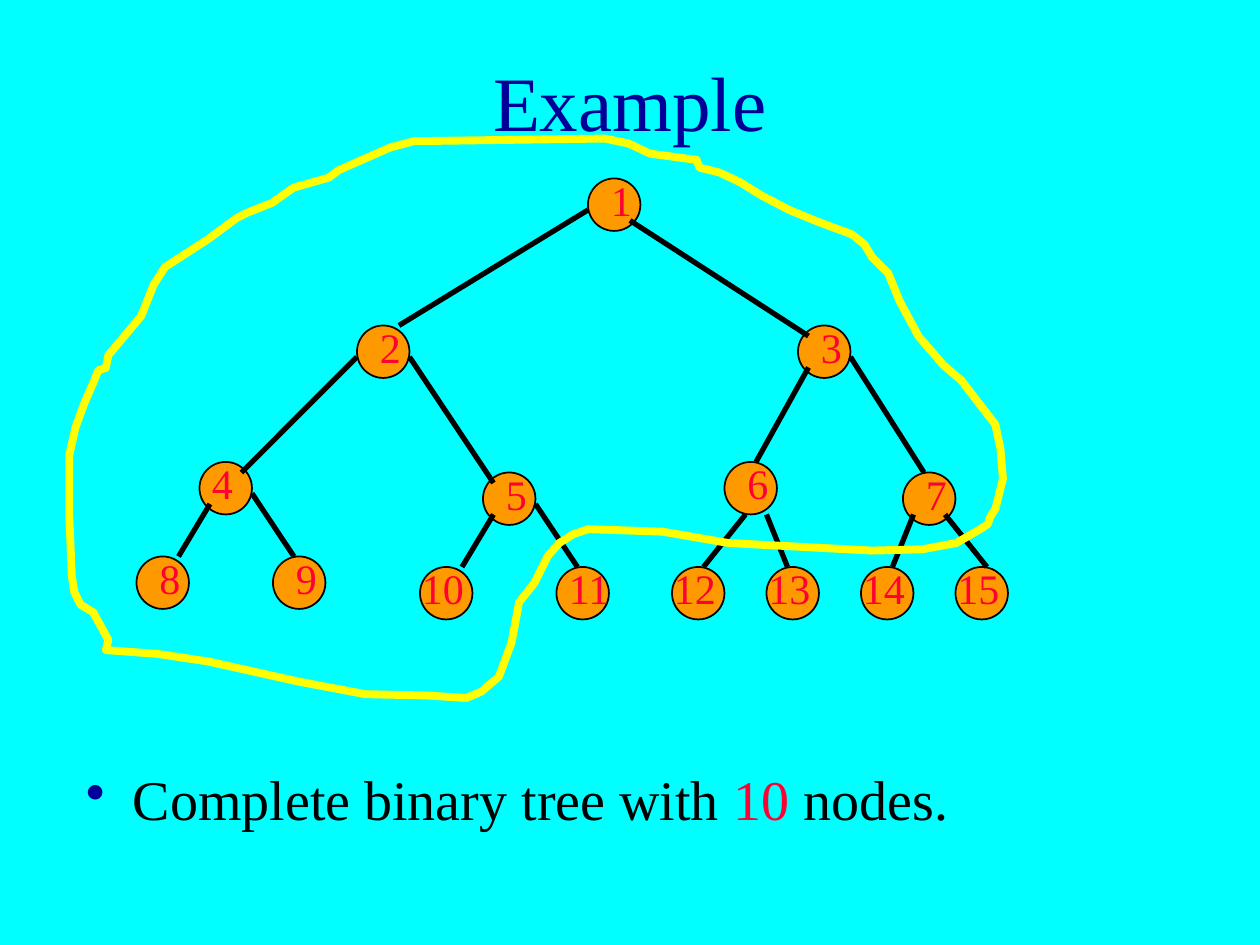
from dataclasses import dataclass

from lxml.etree import SubElement
from pptx import Presentation
from pptx.dml.color import RGBColor as Rgb
from pptx.enum.shapes import MSO_CONNECTOR as Connector, MSO_SHAPE as Shape
from pptx.enum.text import MSO_ANCHOR as Anchor, MSO_AUTO_SIZE as AutoSize, PP_ALIGN as Align
from pptx.oxml.ns import qn
from pptx.util import Cm, Pt


@dataclass(frozen=True)
class Theme:
    font: str = "Times New Roman"
    background: str = "00FFFF"
    title: str = "000099"
    ink: str = "000000"
    accent: str = "FF0033"
    node: str = "FF9900"
    outline: str = "FFFF00"
    title_size: int = 44
    body_size: int = 32
    label_size: int = 24


THEME = Theme()
NODE_SIZE = 5

# Node number: left and top, in twelfths of an inch
NODES = {
    1: (56, 17), 2: (34, 31), 3: (76, 31),
    4: (19, 44), 5: (46, 45), 6: (69, 44), 7: (86, 45),
    8: (13, 53), 9: (26, 53), 10: (40, 54), 11: (53, 54),
    12: (64, 54), 13: (73, 54), 14: (82, 54), 15: (91, 54),
}

# Start and end of each branch, on the same grid
BRANCHES = [
    (56, 20, 38, 31), (60, 21, 77, 32),
    (34, 34, 23, 45), (39, 34, 47, 46), (77, 35, 72, 44), (81, 34, 88, 45),
    (20, 48, 17, 53), (24, 47, 28, 53), (47, 49, 44, 54), (51, 48, 55, 54),
    (71, 49, 67, 54), (73, 49, 75, 54), (87, 49, 85, 54), (90, 49, 94, 54),
]

# Hand-drawn loop around the first ten nodes, in hundredths of an inch
LOOP = [
    (84, 516), (125, 519), (165, 525), (237, 541), (290, 551), (339, 552),
    (370, 554), (382, 549), (396, 537), (406, 510), (412, 478), (424, 463),
    (435, 441), (444, 431), (455, 424), (467, 420), (526, 422), (578, 431),
    (692, 437), (732, 436), (759, 431), (778, 420), (784, 416), (786, 410),
    (790, 404), (794, 388), (796, 380), (794, 356), (790, 337), (763, 302),
    (749, 290), (729, 267), (714, 239), (705, 217), (692, 204), (686, 194),
    (676, 186), (649, 176), (627, 167), (604, 155), (588, 145), (571, 137),
    (555, 133), (553, 127), (516, 122), (499, 114), (480, 110), (337, 112),
    (329, 112), (310, 117), (269, 135), (261, 141), (233, 149), (216, 161),
    (196, 169), (188, 173), (165, 190), (131, 212), (122, 226), (112, 251),
    (86, 282), (84, 292), (78, 294), (74, 304), (67, 320), (60, 339),
    (55, 361), (55, 410), (57, 457), (59, 470), (64, 480), (74, 486),
    (86, 508),
]


def grid(units):
    return Cm(2.54 * units / 12)


def style(run, size, color):
    run.font.name = THEME.font
    run.font.size = Pt(size)
    run.font.color.rgb = Rgb.from_string(color)


def add_title(slide, wording):
    title = slide.shapes.title
    title.left, title.top, title.width, title.height = Cm(1.9), Cm(0.43), Cm(21.6), Cm(3.18)
    frame = title.text_frame
    frame.text = wording
    frame.vertical_anchor = Anchor.MIDDLE
    frame.paragraphs[0].alignment = Align.CENTER
    style(frame.paragraphs[0].runs[0], THEME.title_size, THEME.title)


def add_branch(tree, x1, y1, x2, y2):
    branch = tree.shapes.add_connector(
        Connector.STRAIGHT, grid(x1), grid(y1), grid(x2), grid(y2))
    branch.line.color.rgb = Rgb.from_string(THEME.ink)
    branch.line.width = Pt(3)
    SubElement(branch.element.spPr, qn("a:effectLst"))


def add_node(tree, x, y):
    node = tree.shapes.add_shape(
        Shape.OVAL, grid(x), grid(y), grid(NODE_SIZE), grid(NODE_SIZE))
    node.shadow.inherit = False
    node.fill.solid()
    node.fill.fore_color.rgb = Rgb.from_string(THEME.node)
    node.line.color.rgb = Rgb.from_string(THEME.ink)
    node.line.width = Pt(1)


def add_label(tree, number, x, y):
    # Labels 4 and 11 start level with their nodes
    shift, width = (1, 4) if number < 10 else (-1, 8)
    if number in (4, 11):
        shift = 0
    label = tree.shapes.add_textbox(grid(x + shift), grid(y - 1), grid(width), grid(6))
    frame = label.text_frame
    frame.word_wrap = True
    frame.auto_size = AutoSize.SHAPE_TO_FIT_TEXT
    frame.text = str(number)
    style(frame.paragraphs[0].runs[0], THEME.label_size, THEME.accent)


def add_tree(slide):
    tree = slide.shapes.add_group_shape()
    for x, y in NODES.values():
        add_node(tree, x, y)
    for ends in BRANCHES:
        add_branch(tree, *ends)
    for number, (x, y) in NODES.items():
        add_label(tree, number, x, y)


def add_loop(slide):
    builder = slide.shapes.build_freeform(*LOOP[0], scale=Cm(2.54) / 100)
    builder.add_line_segments(LOOP[1:], close=True)
    loop = builder.convert_to_shape()
    loop.shadow.inherit = False
    loop.fill.background()
    loop.line.color.rgb = Rgb.from_string(THEME.outline)
    loop.line.width = Pt(4.5)


def add_bullet(slide, parts):
    statement = slide.shapes.add_textbox(Cm(1.48), Cm(15.45), Cm(21.6), Cm(1.48))
    frame = statement.text_frame
    frame.word_wrap = True
    line = frame.paragraphs[0]
    line.line_spacing = 0.9
    properties = line._p.get_or_add_pPr()
    properties.set("marL", str(Cm(0.95)))
    properties.set("indent", str(Cm(-0.95)))
    bullet_color = SubElement(properties, qn("a:buClr"))
    SubElement(bullet_color, qn("a:srgbClr"), val=THEME.title)
    SubElement(properties, qn("a:buChar"), char="•")
    for wording, color in parts:
        run = line.add_run()
        run.text = wording
        style(run, THEME.body_size, color)


def main():
    deck = Presentation()
    deck.slide_width, deck.slide_height = Cm(25.4), Cm(19.05)
    slide = deck.slides.add_slide(deck.slide_layouts[5])
    slide.background.fill.solid()
    slide.background.fill.fore_color.rgb = Rgb.from_string(THEME.background)

    # Heading and statement
    add_title(slide, "Example")
    add_bullet(slide, [("Complete binary tree with ", THEME.ink),
                       ("10", THEME.accent), (" nodes.", THEME.ink)])

    # Full tree, with the complete part encircled
    add_tree(slide)
    add_loop(slide)
    deck.save("out.pptx")


if __name__ == "__main__":
    main()
